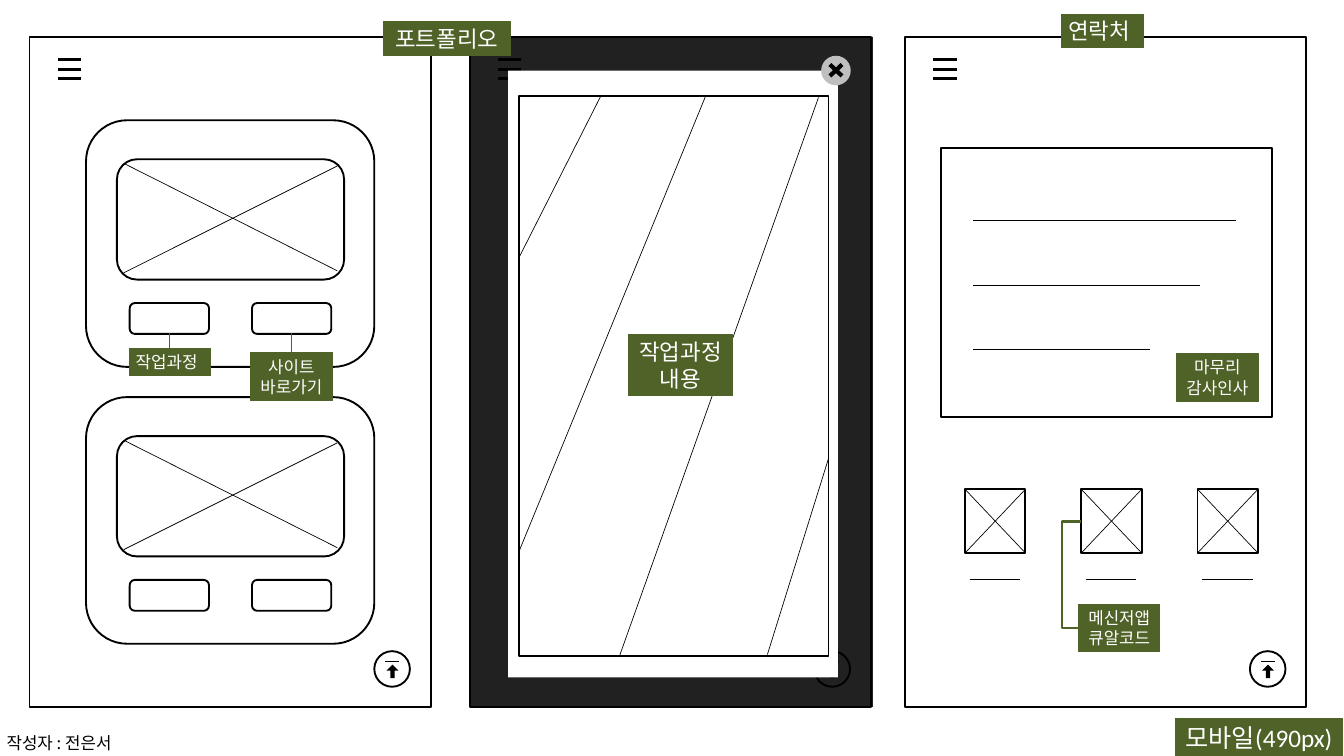
import lxml.etree
import pptx
import pptx.dml.color
import pptx.enum.shapes
import pptx.enum.text
import pptx.oxml.ns
import pptx.util

Inches = pptx.util.Inches
SHAPE = pptx.enum.shapes.MSO_SHAPE
LINK = pptx.enum.shapes.MSO_CONNECTOR
ALIGN = pptx.enum.text.PP_ALIGN
ANCHOR = pptx.enum.text.MSO_ANCHOR
BLACK, WHITE, GREEN, GREY = "000000", "FFFFFF", "4F6228", "BFBFBF"
THIN = 0.75


def paint(format, color):
    format.solid()
    format.fore_color.rgb = pptx.dml.color.RGBColor.from_string(color)


def add_node(parent, tag, **attrs):
    node = lxml.etree.SubElement(parent, pptx.oxml.ns.qn(tag))
    for key, value in attrs.items():
        node.set(key, value)


def style_box(shape, fill, line, width):
    """Set fill and outline; None means nothing is drawn there."""
    for format, color in ((shape.fill, fill), (shape.line.fill, line)):
        if color:
            paint(format, color)
        else:
            format.background()
    if line:
        shape.line.width = pptx.util.Pt(width)


def add_box(shapes, kind, x, y, w, h, fill=None, line=BLACK, width=2):
    shape = shapes.add_shape(kind, Inches(x), Inches(y), Inches(w), Inches(h))
    shape.shadow.inherit = False
    style_box(shape, fill, line, width)
    return shape


def add_line(shapes, x1, y1, x2, y2, width=THIN, color=BLACK, kind=LINK.STRAIGHT):
    line = shapes.add_connector(kind, Inches(x1), Inches(y1), Inches(x2), Inches(y2))
    paint(line.line.fill, color)
    line.line.width = pptx.util.Pt(width)
    add_node(line._element.spPr, "a:effectLst")
    return line


def set_text(shape, rows, size, color, align, font="Calibri"):
    frame = shape.text_frame
    frame.word_wrap = False
    frame.auto_size = pptx.enum.text.MSO_AUTO_SIZE.NONE
    frame.vertical_anchor = ANCHOR.MIDDLE
    for index, row in enumerate(rows):
        para = frame.add_paragraph() if index else frame.paragraphs[0]
        para.alignment = align
        run = para.add_run()
        run.text = row
        run.font.name = font
        run.font.size = pptx.util.Pt(size)
        paint(run.font.fill, color)


def add_label(shapes, x, y, w, h, rows, size=18, align=ALIGN.CENTER):
    shape = add_box(shapes, SHAPE.RECTANGLE, x, y, w, h, GREEN, GREEN, THIN)
    set_text(shape, rows, size, WHITE, align)


def add_title(slide):
    title = slide.shapes.title
    title.left, title.top = Inches(17.49), Inches(10.69)
    title.width, title.height = Inches(2.49), Inches(0.56)
    style_box(title, GREEN, GREEN, THIN)
    set_text(title, ["모바일(490px)"], 27, WHITE, ALIGN.CENTER)


def add_credit(shapes):
    box = shapes.add_textbox(Inches(0), Inches(10.85), Inches(1.9), Inches(0.4))
    set_text(box, ["작성자 : 전은서"], 18, BLACK, ALIGN.LEFT, "Noto Sans CJK KR")


def add_page(slide, x):
    """Draw a phone page with its menu icon and back-to-top button."""
    shapes = slide.shapes.add_group_shape().shapes
    add_box(shapes, SHAPE.RECTANGLE, x, 0.55, 5.97, 9.97)
    for row in range(3):
        y = 0.89 + 0.14 * row
        add_line(shapes, x + 0.42, y, x + 0.77, y, 3)
    add_box(shapes, SHAPE.OVAL, x + 5.13, 9.69, 0.53, 0.53)
    arrow = add_box(shapes, SHAPE.UP_ARROW, x + 5.31, 9.89, 0.18, 0.2, BLACK, None)
    arrow.adjustments[0] = 0.36
    add_line(shapes, x + 5.29, 9.84, x + 5.5, 9.84, 1)


def add_card(slide, y):
    """Draw a work card: image frame above two buttons."""
    shapes = slide.shapes.add_group_shape().shapes
    for x, top, w, h in ((1.28, 0, 4.29, 3.67), (1.74, 0.58, 3.38, 1.79),
                         (1.93, 2.72, 1.18, 0.46), (3.75, 2.72, 1.18, 0.46)):
        add_box(shapes, SHAPE.ROUNDED_RECTANGLE, x, y + top, w, h, WHITE)
    add_line(shapes, 1.84, y + 2.27, 5.02, y + 0.68)
    add_line(shapes, 1.84, y + 0.64, 5.02, y + 2.24)


def add_popup(slide):
    """Draw the dimmed page and the work window above it."""
    dim = add_box(slide.shapes, SHAPE.RECTANGLE, 6.99, 0.55, 6, 9.97, BLACK, None)
    color = dim._element.spPr.find(".//" + pptx.oxml.ns.qn("a:srgbClr"))
    add_node(color, "a:alpha", val="87000")

    shapes = slide.shapes.add_group_shape().shapes
    add_box(shapes, SHAPE.RECTANGLE, 7.56, 1.05, 4.91, 9.03, WHITE, None)
    add_box(shapes, SHAPE.RECTANGLE, 7.73, 1.43, 4.6, 8.33)
    for ends in ((8.94, 1.43, 7.73, 3.82), (10.5, 1.43, 7.73, 8.19),
                 (12.18, 1.45, 9.22, 9.76), (12.33, 6.82, 11.42, 9.74)):
        add_line(shapes, *ends)

    shapes = slide.shapes.add_group_shape().shapes
    add_box(shapes, SHAPE.OVAL, 12.22, 0.83, 0.44, 0.44, GREY, None)
    add_line(shapes, 12.35, 1.13, 12.53, 0.96, 4.5)
    add_line(shapes, 12.53, 1.13, 12.35, 0.96, 4.5)


def add_tile(slide, x):
    """Draw a crossed image tile with a caption line."""
    shapes = slide.shapes.add_group_shape().shapes
    add_box(shapes, SHAPE.RECTANGLE, x, 7.28, 0.9, 0.95, WHITE)
    add_line(shapes, x, 8.23, x + 0.9, 7.28)
    add_line(shapes, x + 0.9, 8.23, x, 7.28)
    add_line(shapes, x + 0.07, 8.62, x + 0.82, 8.62)


def add_note(slide):
    shapes = slide.shapes.add_group_shape().shapes
    add_box(shapes, SHAPE.RECTANGLE, 14, 2.2, 4.93, 4)
    for row, end in enumerate((18.4, 17.85, 17.12)):
        y = 3.28 + 0.96 * row
        add_line(shapes, 14.48, y, end, y)


def add_bend(shapes, x1, y1, x2, y2, turn):
    """Join two points by an elbow whose upright part is at turn."""
    line = add_line(shapes, x1, y1, x2, y2, 2.25, GREEN, LINK.ELBOW)
    shift = round((turn - x1) / (x2 - x1) * 100000)
    guides = line._element.spPr.find(".//" + pptx.oxml.ns.qn("a:avLst"))
    add_node(guides, "a:gd", name="adj1", fmla=f"val {shift}")


def main():
    deck = pptx.Presentation()
    deck.slide_width, deck.slide_height = Inches(20), Inches(11.25)
    slide = deck.slides.add_slide(deck.slide_layouts.get_by_name("Title Only"))
    shapes = slide.shapes
    add_title(slide)

    for x in (6.99, 0.44):
        add_page(slide, x)
    for y in (1.79, 5.91):
        add_card(slide, y)
    add_label(shapes, 1.92, 5.19, 1.21, 0.4, ["작업과정"], align=ALIGN.LEFT)
    add_label(shapes, 3.73, 5.25, 1.21, 0.71, ["사이트", "바로가기"])
    for x, y in ((2.52, 5.19), (4.34, 5.25)):
        add_line(shapes, x, 4.96, x, y, 1.5, GREEN)

    add_popup(slide)
    add_label(shapes, 9.35, 4.98, 1.55, 0.91, ["작업과정", "내용"], 24)
    add_label(shapes, 5.71, 0.32, 1.88, 0.5, ["포트폴리오"], 24)

    add_page(slide, 13.47)
    add_label(shapes, 15.8, 0.21, 1.21, 0.5, ["연락처"], 24, ALIGN.LEFT)
    for col in range(3):
        add_tile(slide, 14.36 + 1.73 * col)
    add_note(slide)
    add_label(shapes, 16.05, 8.99, 1.21, 0.71, ["메신저앱", "큐알코드"])
    add_bend(shapes, 16.09, 7.76, 16.05, 9.35, 15.8)
    add_label(shapes, 17.51, 5.26, 1.21, 0.71, ["마무리", "감사인사"])
    add_credit(shapes)
    deck.save("out.pptx")


if __name__ == "__main__":
    main()
